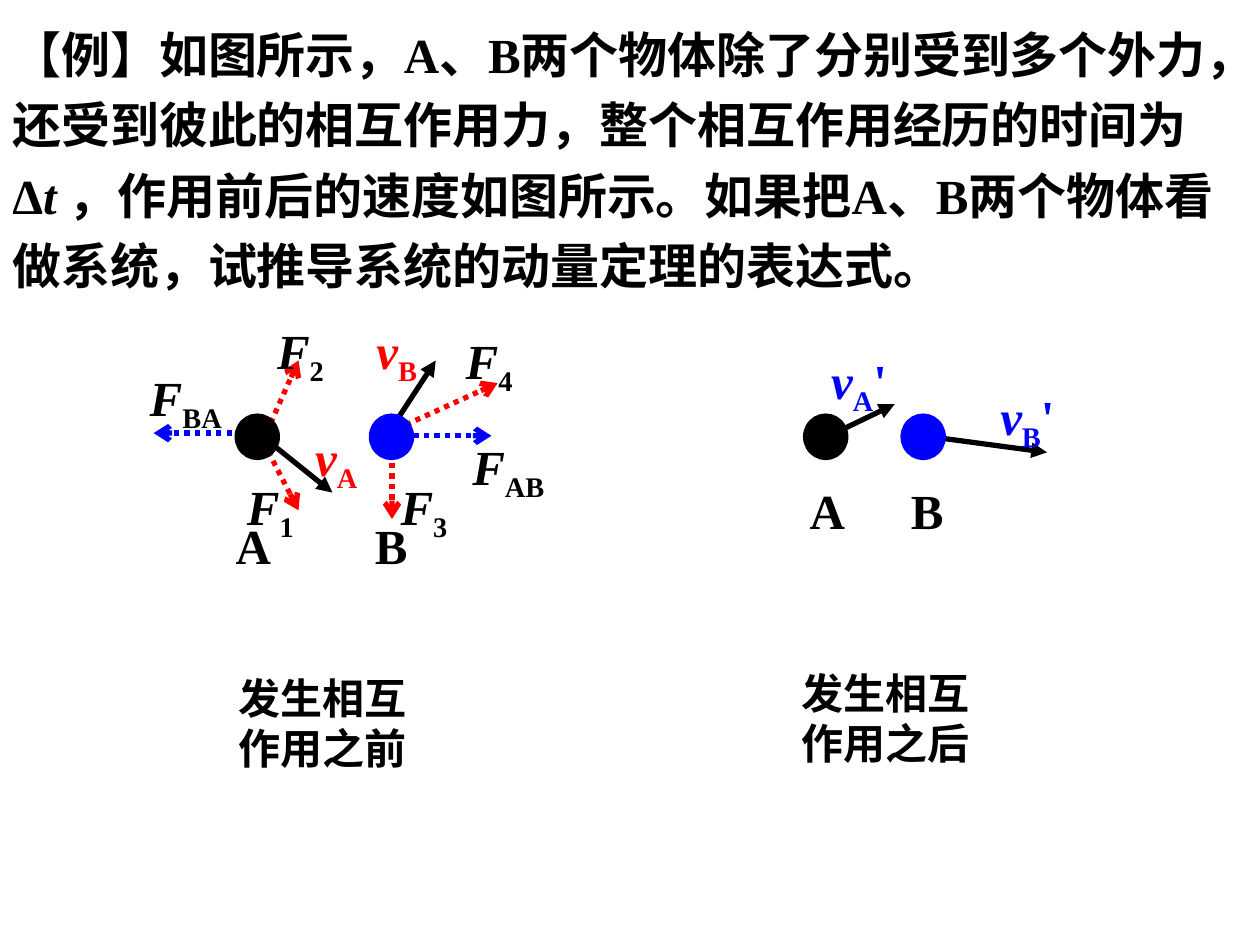
from dataclasses import dataclass

from lxml.etree import SubElement
from pptx import Presentation
from pptx.dml.color import RGBColor
from pptx.enum.dml import MSO_LINE_DASH_STYLE as Dash
from pptx.enum.shapes import MSO_CONNECTOR_TYPE as Connector, MSO_SHAPE as Shape
from pptx.enum.text import MSO_AUTO_SIZE as AutoSize
from pptx.oxml.ns import qn
from pptx.util import Pt


@dataclass(frozen=True)
class Theme:
    latin: str = "Times New Roman"
    east_asian: str = "Noto Sans CJK SC"
    black: RGBColor = RGBColor(0, 0, 0)
    red: RGBColor = RGBColor(255, 0, 0)
    blue: RGBColor = RGBColor(0, 0, 255)
    body_size: int = 28
    caption_size: int = 24
    arrow_width: float = 3
    ball_line: float = 1.5


THEME = Theme()
NORMAL, ITALIC, SUBSCRIPT = range(3)


class SlideBuilder:
    def __init__(self, slide, theme):
        self.slide = slide
        self.theme = theme

    def text(self, runs, left, top, width, height, color=None, size=None,
             wrap=False, spacing=None, shapes=None):
        shapes = self.slide.shapes if shapes is None else shapes
        box = shapes.add_textbox(Pt(left), Pt(top), Pt(width), Pt(height))
        frame = box.text_frame
        frame.word_wrap = wrap
        frame.auto_size = AutoSize.SHAPE_TO_FIT_TEXT
        paragraph = frame.paragraphs[0]
        if spacing:
            paragraph.line_spacing = spacing
        font = paragraph.font
        font.size = Pt(size or self.theme.body_size)
        font.bold = True
        font.color.rgb = color or self.theme.black
        font.name = self.theme.latin
        SubElement(font._element, qn("a:ea"), typeface=self.theme.east_asian)
        for content, style in runs:
            run = paragraph.add_run()
            run.text = content
            if style == ITALIC:
                run.font.italic = True
            elif style == SUBSCRIPT:
                run.font._element.set("baseline", "-25000")

    def arrow(self, start, end, color, dotted, shapes):
        line = shapes.add_connector(Connector.STRAIGHT, *map(Pt, start + end))
        line.line.color.rgb = color
        line.line.width = Pt(self.theme.arrow_width)
        if dotted:
            line.line.dash_style = Dash.ROUND_DOT
        properties = line._element.spPr
        SubElement(properties.find(qn("a:ln")), qn("a:tailEnd"),
                   type="arrow" if dotted else "triangle")
        SubElement(properties, qn("a:effectLst"))

    def vector(self, symbol, subscript, start, end, label_box, line_color,
               label_color, dotted=False, primed=False):
        """An arrow grouped with its label."""
        shapes = self.slide.shapes.add_group_shape().shapes
        self.arrow(start, end, line_color, dotted, shapes)
        runs = [(symbol, ITALIC), (subscript, SUBSCRIPT)]
        if primed:
            runs.append(("'", NORMAL))
        self.text(runs, *label_box, color=label_color, wrap=primed, shapes=shapes)

    def ball(self, name, left, color, label_left, label_top):
        """A ball grouped with its name."""
        shapes = self.slide.shapes.add_group_shape().shapes
        self.text([(name, NORMAL)], label_left, label_top, 36, 41, shapes=shapes)
        ball = shapes.add_shape(Shape.OVAL, Pt(left), Pt(237), Pt(24.5), Pt(25.2))
        ball.shadow.inherit = False
        ball.fill.solid()
        ball.fill.fore_color.rgb = color
        ball.line.color.rgb = color
        ball.line.width = Pt(self.theme.ball_line)

    def caption(self, content, left, top):
        self.text([(content, NORMAL)], left, top, 124, 65,
                  size=self.theme.caption_size, wrap=True)


def main():
    presentation = Presentation()
    presentation.slide_width, presentation.slide_height = Pt(720), Pt(540)
    slide = presentation.slides.add_slide(presentation.slide_layouts[6])
    builder = SlideBuilder(slide, THEME)
    black, red, blue = THEME.black, THEME.red, THEME.blue

    # Problem statement
    builder.text([
        ("【例】如图所示，A、B两个物体除了分别受到多个外力，还受到彼此的相互作用力，"
         "整个相互作用经历的时间为Δ", NORMAL),
        ("t ", ITALIC),
        ("，作用前后的速度如图所示。如果把A、B两个物体看做系统，"
         "试推导系统的动量定理的表达式。", NORMAL),
    ], 0, 3.6, 720, 168.5, wrap=True, spacing=1.2)

    # Velocities: subscript, start, end, label box, label colour, after the interaction
    for subscript, start, end, box, color, after in [
        ("A", (147, 247), (190, 281.5), (173, 240.5, 42, 45.4), red, False),
        ("B", (221.8, 247.7), (249, 206), (208, 179.5, 42, 45.4), red, False),
        ("A", (476.6, 247.7), (511.2, 231), (467.8, 196.6, 59, 45.4), blue, True),
        ("B", (533.5, 249.8), (598.3, 258.5), (564.5, 217.4, 56.2, 45.4), blue, True),
    ]:
        builder.vector("v", subscript, start, end, box, black, color, primed=after)

    # Forces: subscript, start, end, label position, label width, arrow colour
    for subscript, start, end, position, width, color in [
        ("1", (150.5, 252.7), (170.6, 291.6), (134, 268.6), 43, red),
        ("2", (149.8, 252.7), (170.6, 206), (151.2, 179.5), 43, red),
        ("3", (224, 258.5), (224, 296.6), (221.8, 268.6), 43, red),
        ("4", (221, 247.7), (284.4, 218.9), (259, 185.3), 43, red),
        ("BA", (150.5, 247.5), (87.8, 247.5), (78.5, 206.3), 58, blue),
        ("AB", (218.2, 249), (280.8, 249), (262.8, 245.8), 58, blue),
    ]:
        builder.vector("F", subscript, start, end, position + (width, 45.4),
                       color, black, dotted=True)

    # Balls before and after the interaction
    for name, left, color, label_left, label_top in [
        ("A", 134.8, black, 127.6, 291.2),
        ("B", 211.5, blue, 207.2, 291.2),
        ("A", 459.6, black, 455.6, 271),
        ("B", 515.3, blue, 513.4, 271),
    ]:
        builder.ball(name, left, color, label_left, label_top)

    # Captions
    builder.caption("发生相互作用之前", 129.3, 380.5)
    builder.caption("发生相互作用之后", 450.7, 377.8)

    presentation.save("out.pptx")


if __name__ == "__main__":
    main()
